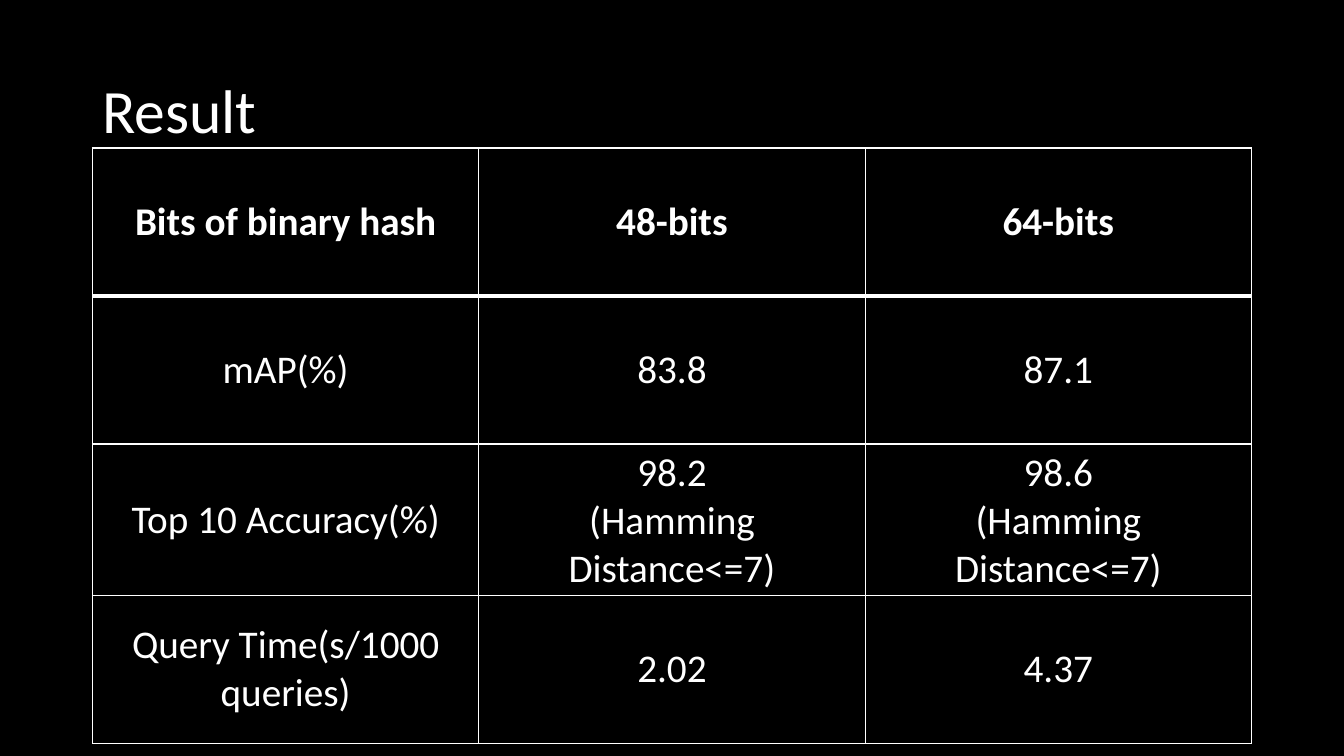
from lxml import etree
from pptx import Presentation
from pptx.dml.color import RGBColor
from pptx.enum import text
from pptx.oxml import ns
from pptx.util import Cm, Pt

BLACK, WHITE = "000000", "FFFFFF"
FONT = "Calibri"
RESULTS = [
    ["Bits of binary hash", "48-bits", "64-bits"],
    ["mAP(%)", "83.8", "87.1"],
    ["Top 10 Accuracy(%)", "98.2\n(Hamming Distance<=7)", "98.6\n(Hamming Distance<=7)"],
    ["Query Time(s/1000 queries)", "2.02", "4.37"],
]


def paint(target, color):
    """Give a fill one solid colour."""
    target.solid()
    target.fore_color.rgb = RGBColor.from_string(color)


def write(frame, content, size, bold=False, align=text.PP_ALIGN.LEFT, spacing=None):
    """Write one paragraph for each line of the content."""
    for index, line in enumerate(content.split("\n")):
        para = frame.add_paragraph() if index else frame.paragraphs[0]
        para.alignment = align
        para.line_spacing = spacing
        span = para.add_run()
        span.text = line
        span.font.name = FONT
        span.font.size = Pt(size)
        span.font.bold = bold
        paint(span.font.fill, WHITE)


def add_border(cell, side, width):
    """Draw one edge of a cell: side is L, R, T or B."""
    properties = cell._tc.get_or_add_tcPr()
    line = etree.SubElement(properties, ns.qn(f"a:ln{side}"), w=str(Pt(width)))
    fill = etree.SubElement(line, ns.qn("a:solidFill"))
    etree.SubElement(fill, ns.qn("a:srgbClr"), val=WHITE)


def add_title(page, left, top, width, height):
    box = page.shapes.add_textbox(left, top, width, height)
    frame = box.text_frame
    frame.word_wrap = True
    frame.vertical_anchor = text.MSO_ANCHOR.MIDDLE
    write(frame, "Result", 44, spacing=0.9)


def add_results(page, left, top, width, height):
    row_count, column_count = len(RESULTS), len(RESULTS[0])
    table = page.shapes.add_table(row_count, column_count, left, top, width, height).table
    table.horz_banding = False
    for row, values in enumerate(RESULTS):
        for column, value in enumerate(values):
            cell = table.cell(row, column)
            # A thick rule separates the header from the body
            widths = {"L": 1, "R": 1, "T": 3 if row == 1 else 1, "B": 3 if row == 0 else 1}
            for side, line_width in widths.items():
                add_border(cell, side, line_width)
            paint(cell.fill, BLACK)
            cell.vertical_anchor = text.MSO_ANCHOR.MIDDLE
            write(cell.text_frame, value, 28, bold=row == 0, align=text.PP_ALIGN.CENTER)


def main():
    deck = Presentation()
    deck.slide_width, deck.slide_height = Cm(33.87), Cm(19.05)
    page = deck.slides.add_slide(deck.slide_layouts[6])
    paint(page.background.fill, BLACK)

    # Title and table share the same margins
    margin = Cm(2.33)
    width = deck.slide_width - 2 * margin
    add_title(page, margin, Cm(1.01), width, Cm(3.68))
    add_results(page, margin, Cm(3.73), width, Cm(14.92))
    deck.save("out.pptx")


if __name__ == "__main__":
    main()
